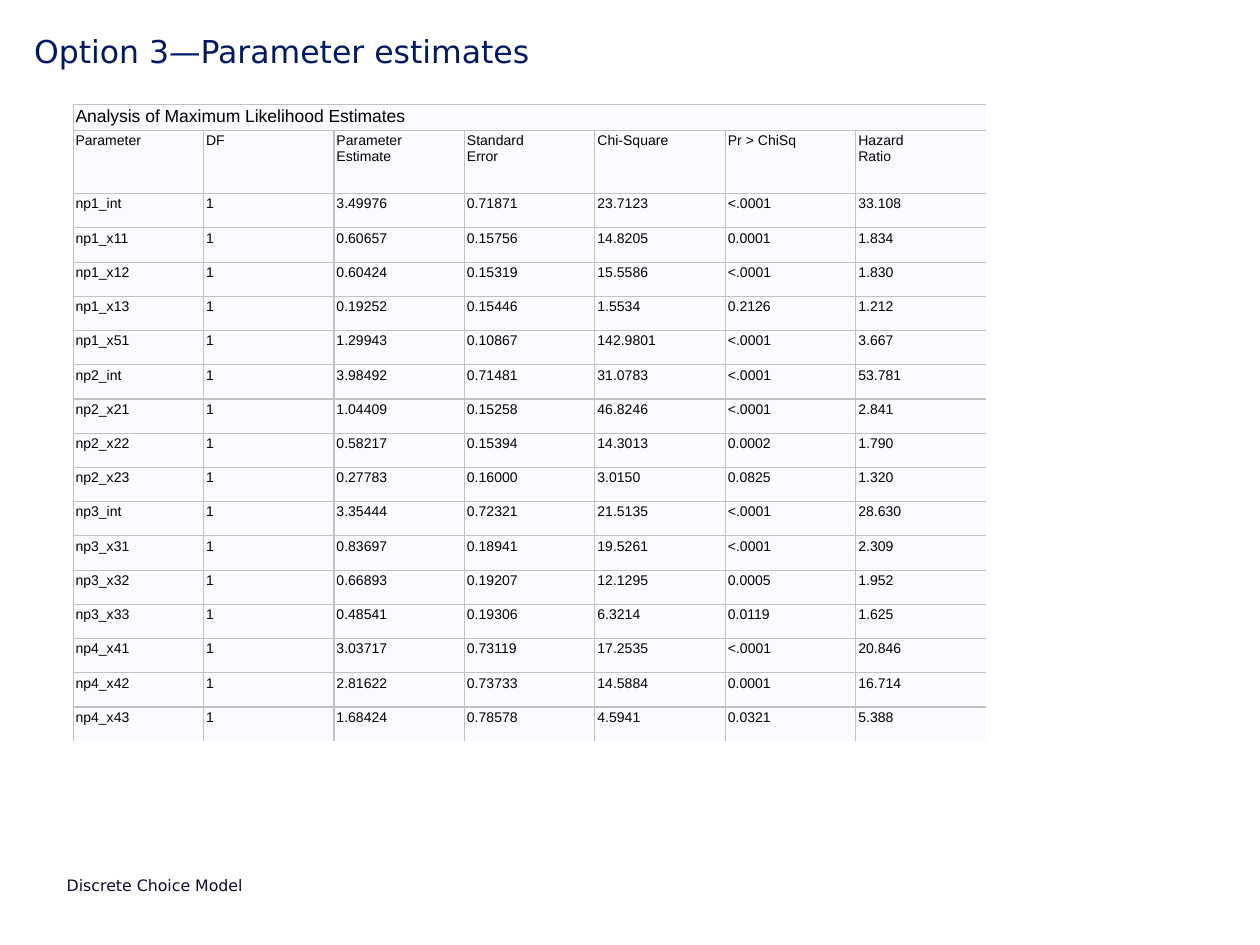
"""Build the slide of parameter estimates for option 3."""
import copy
import pptx
import pptx.util
import pptx.dml.color
import pptx.enum.text
import pptx.oxml
import pptx.oxml.ns

Inches, Pt = pptx.util.Inches, pptx.util.Pt
RGBColor = pptx.dml.color.RGBColor
NAVY = RGBColor(0x00, 0x19, 0x65)
INK = RGBColor(0x0E, 0x07, 0x33)
BLACK = RGBColor(0, 0, 0)
PALE = RGBColor(0xFA, 0xFB, 0xFE)
GREY = RGBColor(0xC1, 0xC1, 0xC1)

CAPTION = "Analysis of Maximum Likelihood Estimates"
HEADERS = ["Parameter", "DF", "Parameter\vEstimate", "Standard\vError",
           "Chi-Square", "Pr\u00a0>\u00a0ChiSq", "Hazard\vRatio"]
ESTIMATES = """\
np1_int 1 3.49976 0.71871 23.7123 <.0001 33.108
np1_x11 1 0.60657 0.15756 14.8205 0.0001 1.834
np1_x12 1 0.60424 0.15319 15.5586 <.0001 1.830
np1_x13 1 0.19252 0.15446 1.5534 0.2126 1.212
np1_x51 1 1.29943 0.10867 142.9801 <.0001 3.667
np2_int 1 3.98492 0.71481 31.0783 <.0001 53.781
np2_x21 1 1.04409 0.15258 46.8246 <.0001 2.841
np2_x22 1 0.58217 0.15394 14.3013 0.0002 1.790
np2_x23 1 0.27783 0.16000 3.0150 0.0825 1.320
np3_int 1 3.35444 0.72321 21.5135 <.0001 28.630
np3_x31 1 0.83697 0.18941 19.5261 <.0001 2.309
np3_x32 1 0.66893 0.19207 12.1295 0.0005 1.952
np3_x33 1 0.48541 0.19306 6.3214 0.0119 1.625
np4_x41 1 3.03717 0.73119 17.2535 <.0001 20.846
np4_x42 1 2.81622 0.73733 14.5884 0.0001 16.714
np4_x43 1 1.68424 0.78578 4.5941 0.0321 5.388"""


def write(tf, text, margin, size, name, color):
    """Fill a text frame with one left-aligned, formatted paragraph."""
    tf.text = text
    frame = {"word_wrap": True, "vertical_anchor": pptx.enum.text.MSO_ANCHOR.TOP}
    for side in ("left", "right", "top", "bottom"):
        frame["margin_" + side] = Inches(margin)
    for key, value in frame.items():
        setattr(tf, key, value)
    p = tf.paragraphs[0]
    p.alignment = pptx.enum.text.PP_ALIGN.LEFT
    for r in p.runs:
        for key, value in {"size": Pt(size), "name": name}.items():
            setattr(r.font, key, value)
        r.font.color.rgb = color
    for br in p._p.findall(pptx.oxml.ns.qn("a:br")):
        br.append(copy.deepcopy(p.runs[0]._r.rPr))


def set_border(cell, side, shown):
    """Draw one side of a cell, or leave it bare."""
    paint = f'<a:solidFill><a:srgbClr val="{GREY}"/></a:solidFill>' if shown else "<a:noFill/>"
    cell._tc.get_or_add_tcPr().append(pptx.oxml.parse_xml(
        f'<a:ln{side} {pptx.oxml.ns.nsdecls("a")} w="{Pt(0.75)}">{paint}</a:ln{side}>'))


prs = pptx.Presentation()
prs.slide_width, prs.slide_height = Inches(10), Inches(7.5)
s = prs.slides.add_slide(prs.slide_layouts.get_by_name("Title Only"))

title = s.shapes.title
place = {"left": 0.27, "top": 0.25, "width": 9.73, "height": 0.72}
for key, value in place.items():
    setattr(title, key, Inches(value))
write(title.text_frame, "Option 3\u2014Parameter estimates", 0, 18, "DejaVu Sans", NAVY)
title.text_frame.auto_size = pptx.enum.text.MSO_AUTO_SIZE.NONE

footer = s.shapes.add_textbox(Inches(0.53), Inches(6.95), Inches(7.5), Inches(0.15))
write(footer.text_frame, "Discrete Choice Model", 0, 9, "DejaVu Sans", INK)

rows = [[CAPTION], HEADERS] + [line.split() for line in ESTIMATES.splitlines()]
n_rows, n_cols = len(rows), len(HEADERS)
width, height = Inches(7.25), Inches(5.05)
table = s.shapes.add_table(n_rows, n_cols, Inches(0.58), Inches(0.83), width, height).table
table.first_row = table.horz_banding = False
for column in table.columns:
    column.width = width // n_cols
heads = [Inches(0.2), Inches(0.5)]
body = (height - sum(heads)) // (n_rows - len(heads))
for i, row in enumerate(table.rows):
    row.height = heads[i] if i < len(heads) else body

table.cell(0, 0).merge(table.cell(0, n_cols - 1))
for i, values in enumerate(rows):
    for j, value in enumerate(values):
        cell = table.cell(i, j)
        write(cell.text_frame, value, 0.02, 8 if i else 10, "Arial", BLACK)
        for side in ("left", "right", "top", "bottom"):
            setattr(cell, "margin_" + side, Inches(0.02))
        cell.vertical_anchor = pptx.enum.text.MSO_ANCHOR.TOP
        sides = {"L": True, "R": j < len(values) - 1, "T": True, "B": i < n_rows - 1}
        for side, shown in sides.items():
            set_border(cell, side, shown)
        cell.fill.solid()
        cell.fill.fore_color.rgb = PALE

prs.save("out.pptx")
